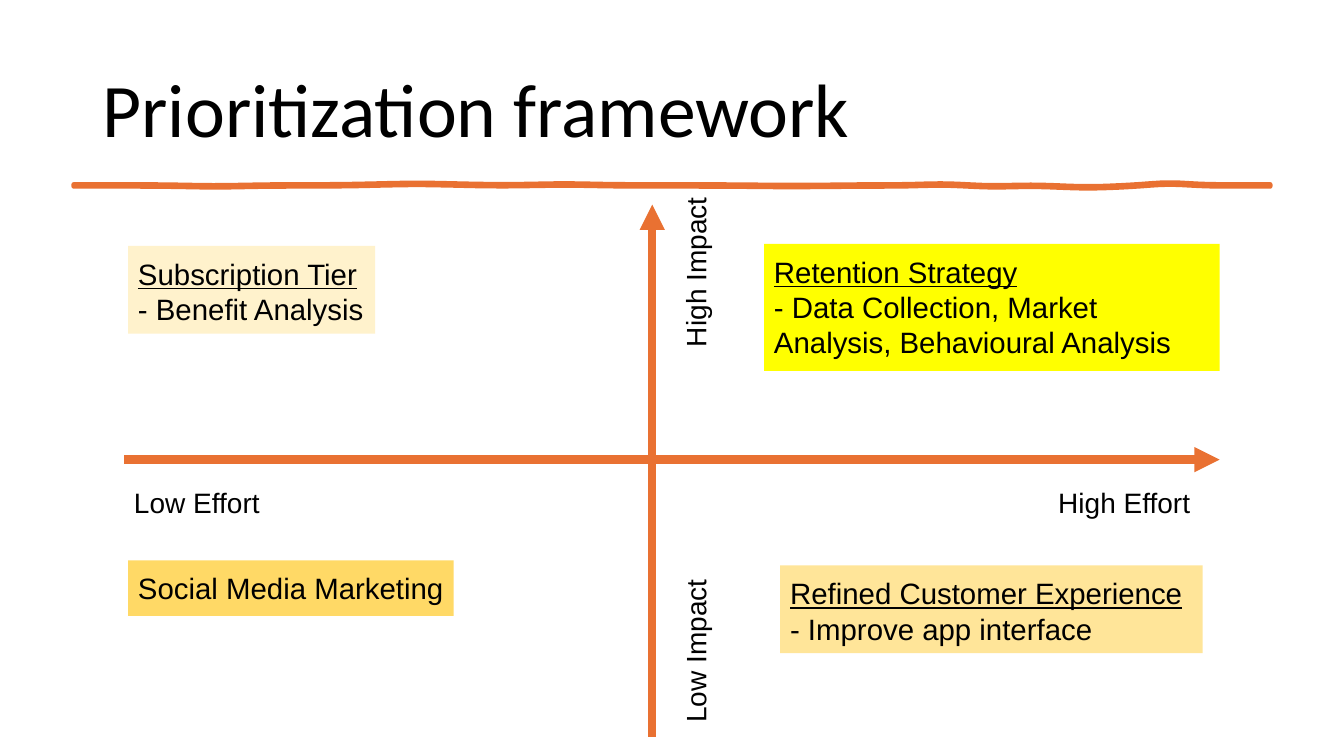
from dataclasses import dataclass
from math import exp

from lxml import etree
from pptx import Presentation
from pptx.dml.color import RGBColor
from pptx.enum.shapes import MSO_CONNECTOR, MSO_SHAPE
from pptx.enum.text import MSO_ANCHOR, PP_ALIGN
from pptx.oxml.ns import qn
from pptx.util import Inches, Pt

STRAIGHT = MSO_CONNECTOR.STRAIGHT
RECTANGLE = MSO_SHAPE.RECTANGLE
TOP, MIDDLE = MSO_ANCHOR.TOP, MSO_ANCHOR.MIDDLE
LEFT = PP_ALIGN.LEFT
SLIDE_WIDTH, SLIDE_HEIGHT = Inches(13.333), Inches(7.5)


@dataclass(frozen=True)
class Theme:
    accent: str = "E97132"
    text: str = "000000"
    background: str = "FFFFFF"
    bright: str = "FFFF00"
    pale: str = "FFF2CC"
    soft: str = "FFE599"
    gold: str = "FFD966"
    title_font: str = "Calibri"
    body_font: str = "Arial"
    title_size: float = 54
    label_size: float = 20
    card_size: float = 21
    axis_weight: float = 6
    divider_weight: float = 3.25


@dataclass(frozen=True)
class Area:
    """Percentages of the slide's width and height."""
    left: float
    top: float
    width: float
    height: float

    def box(self):
        return (across(self.left), down(self.top),
                across(self.width), down(self.height))


@dataclass(frozen=True)
class Axis:
    start: tuple[float, float]
    end: tuple[float, float]
    arrow: bool = False


@dataclass(frozen=True)
class Label:
    text: str
    left: float
    top: float
    rotation: int = 0


@dataclass(frozen=True)
class Card:
    lines: tuple[str, ...]
    area: Area
    fill: str


@dataclass(frozen=True)
class Ripple:
    center: float
    spread: float
    height: float


THEME = Theme()
TITLE = "Prioritization framework"
TITLE_AREA = Area(6.9, 5.33, 86.25, 19.33)
DIVIDER = Area(5.48, 24.4, 89.03, 0.27)
DIVIDER_STEPS = 120
RIPPLES = (
    Ripple(16, 3, 0.12), Ripple(31, 4, -0.2), Ripple(42, 3, -0.12),
    Ripple(59, 4, 0.08), Ripple(70, 2, -0.12), Ripple(74, 2, 0.12),
    Ripple(81, 3, 0.25), Ripple(87, 2, -0.25),
)
CENTER_X, CENTER_Y = 48.53, 60.8
AXES = (
    Axis((9.23, CENTER_Y), (87.75, CENTER_Y)),
    Axis((CENTER_X, 33.73), (CENTER_X, 97.47)),
    Axis((85.95, CENTER_Y), (90.75, CENTER_Y), arrow=True),
    Axis((CENTER_X, 35.6), (CENTER_X, 27.07), arrow=True),
)
LABEL_WIDTH, LABEL_HEIGHT = 12.83, 12.67
LABELS = (
    Label("Low Impact", 46.88, 79.2, 270),
    Label("High Impact", 46.88, 29.47, 270),
    Label("High Effort", 78, 62.93),
    Label("Low Effort", 9.23, 62.93),
)
CARDS = (
    Card(("Refined Customer Experience", "- Improve app interface"),
         Area(58.05, 74.8, 31.43, 11.6), THEME.soft),
    Card(("Retention Strategy",
          "- Data Collection, Market Analysis, Behavioural Analysis"),
         Area(56.85, 32.27, 33.9, 16.8), THEME.bright),
    Card(("Subscription Tier", "- Benefit Analysis"),
         Area(9.53, 32.53, 18.38, 11.6), THEME.pale),
    Card(("Social Media Marketing",),
         Area(9.53, 74.13, 24.23, 7.33), THEME.gold),
)


def across(percent: float) -> int:
    return round(SLIDE_WIDTH * percent / 100)


def down(percent: float) -> int:
    return round(SLIDE_HEIGHT * percent / 100)


def color(value: str) -> RGBColor:
    return RGBColor.from_string(value)


def write(shape, lines: tuple[str, ...], font: str, size: float,
          anchor=TOP, spacing: float = 1, heading: bool = False) -> None:
    frame = shape.text_frame
    frame.word_wrap = True
    frame.vertical_anchor = anchor
    frame.margin_left = frame.margin_top = frame.margin_bottom = Inches(0.1)
    frame.margin_right = Inches(0.05)
    for index, line in enumerate(lines):
        paragraph = frame.add_paragraph() if index else frame.paragraphs[0]
        paragraph.alignment = LEFT
        paragraph.line_spacing = spacing
        run = paragraph.add_run()
        run.text = line
        run.font.name = font
        run.font.size = Pt(size)
        run.font.color.rgb = color(THEME.text)
        run.font.underline = heading and index == 0


def draw_title(slide) -> None:
    shape = slide.shapes.add_textbox(*TITLE_AREA.box())
    write(shape, (TITLE,), THEME.title_font, THEME.title_size, MIDDLE, 0.9)


def draw_divider(slide) -> None:
    def edge(top: float) -> list[tuple[int, int]]:
        points = []
        for step in range(DIVIDER_STEPS + 1):
            x = DIVIDER.left + DIVIDER.width * step / DIVIDER_STEPS
            wave = sum(ripple.height * exp(-((x - ripple.center) / ripple.spread) ** 2)
                       for ripple in RIPPLES)
            points.append((across(x), down(top + wave)))
        return points

    outline = edge(DIVIDER.top) + edge(DIVIDER.top + DIVIDER.height)[::-1]
    builder = slide.shapes.build_freeform(*outline[0])
    builder.add_line_segments(outline[1:], close=True)
    shape = builder.convert_to_shape()
    shape.shadow.inherit = False
    shape.fill.solid()
    shape.fill.fore_color.rgb = color(THEME.accent)
    shape.line.color.rgb = color(THEME.accent)
    shape.line.width = Pt(THEME.divider_weight)
    etree.SubElement(shape.line._get_or_add_ln(), qn("a:round"))


def draw_axis(slide, axis: Axis) -> None:
    connector = slide.shapes.add_connector(
        STRAIGHT, across(axis.start[0]), down(axis.start[1]),
        across(axis.end[0]), down(axis.end[1]))
    connector.line.color.rgb = color(THEME.accent)
    connector.line.width = Pt(THEME.axis_weight)
    if axis.arrow:
        line = connector.line._get_or_add_ln()
        etree.SubElement(line, qn("a:tailEnd"), type="triangle")
    etree.SubElement(connector._element.spPr, qn("a:effectLst"))


def draw_label(slide, label: Label) -> None:
    area = Area(label.left, label.top, LABEL_WIDTH, LABEL_HEIGHT)
    shape = slide.shapes.add_textbox(*area.box())
    shape.rotation = label.rotation
    write(shape, (label.text,), THEME.body_font, THEME.label_size)


def draw_card(slide, card: Card) -> None:
    shape = slide.shapes.add_shape(RECTANGLE, *card.area.box())
    shape.shadow.inherit = False
    shape.fill.solid()
    shape.fill.fore_color.rgb = color(card.fill)
    shape.line.fill.background()
    write(shape, card.lines, THEME.body_font, THEME.card_size,
          heading=len(card.lines) > 1)


def main() -> None:
    presentation = Presentation()
    presentation.slide_width = SLIDE_WIDTH
    presentation.slide_height = SLIDE_HEIGHT
    slide = presentation.slides.add_slide(presentation.slide_layouts[6])
    slide.background.fill.solid()
    slide.background.fill.fore_color.rgb = color(THEME.background)
    draw_title(slide)
    draw_divider(slide)
    for axis in AXES:
        draw_axis(slide, axis)
    for label in LABELS:
        draw_label(slide, label)
    for card in CARDS:
        draw_card(slide, card)
    presentation.save("out.pptx")


if __name__ == "__main__":
    main()
